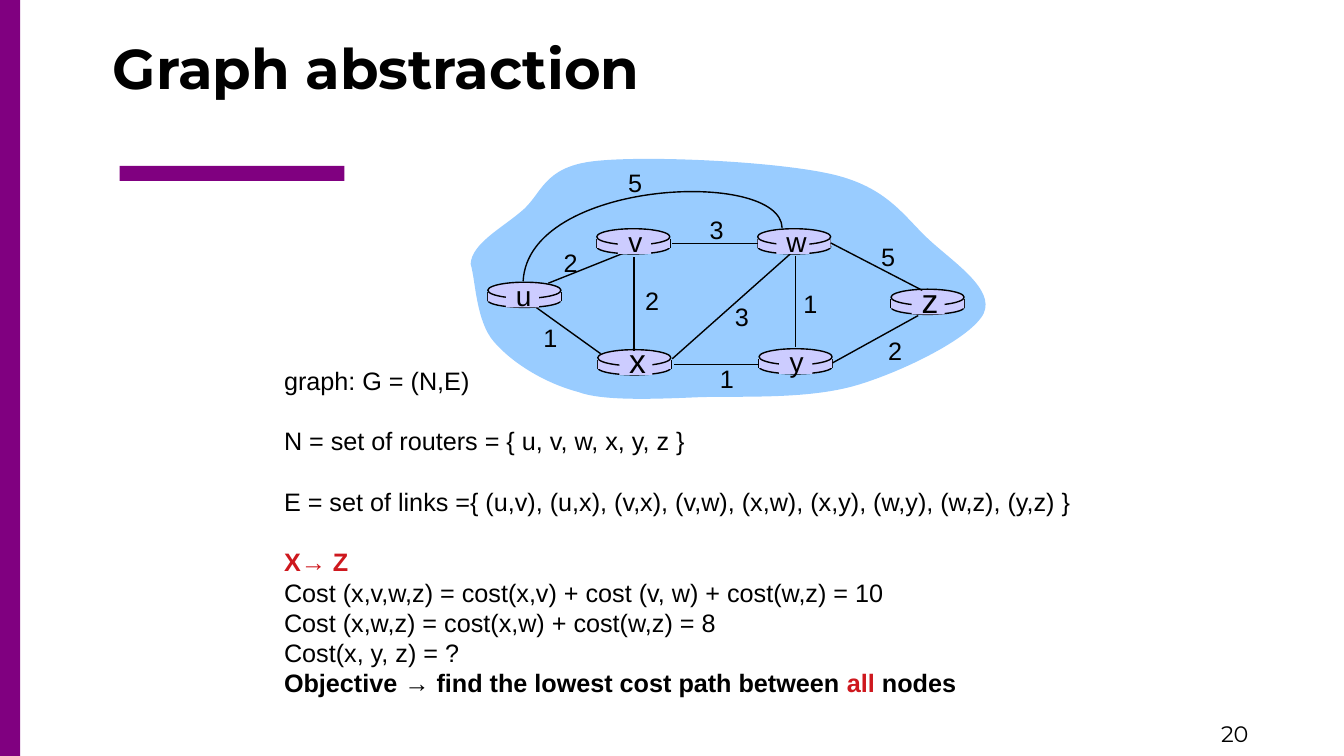
from lxml.etree import SubElement
from pptx import Presentation
from pptx.dml.color import RGBColor
from pptx.enum.shapes import MSO_CONNECTOR as Connector, MSO_SHAPE as Shape
from pptx.enum.text import MSO_ANCHOR as Anchor, MSO_AUTO_SIZE as AutoSize, PP_ALIGN as Align
from pptx.oxml.ns import qn
from pptx.util import Pt

BLACK, PURPLE, RED = "000000", "800080", "CE181E"
CLOUD_BLUE, ROUTER_LILAC = "99CCFF", "CCCCFF"

# name: (left, top, left of letter patch, letter size)
ROUTERS = {
    "u": (348.5, 201.6, 361.4, 20),
    "x": (427, 249.8, 442.4, 24),
    "v": (426.3, 163.4, 441.4, 20),
    "w": (541.2, 163.4, 554.6, 20),
    "y": (542.2, 249.1, 556.6, 20),
    "z": (636.5, 206.6, 651.2, 24),
}
LINK_BEHIND = (391.7, 202.3, 449.3, 179.3)
LINKS = [
    (568.4, 182.9, 568.4, 247.7),
    (452.9, 183.6, 452.9, 250.6),
    (480.2, 256.3, 564.5, 181.4),
    (594.7, 259.2, 655.9, 225.4),
    (542.2, 260.4, 481.7, 260.4),
    (429.1, 252.7, 383, 219.6),
    (541.4, 173.9, 480.2, 173.9),
    (658.8, 207.4, 593.3, 173.5),
]
# cost, left and top of its label
COSTS = [
    ("2", 395.3, 172.8), ("2", 453.6, 200.2), ("1", 380.9, 226.8), ("3", 517.7, 211.7),
    ("1", 506.9, 256.3), ("1", 566.6, 202.3), ("2", 627.1, 235.7), ("5", 622.1, 168.5),
    ("3", 499.7, 149.8), ("5", 441.4, 116.2),
]
# each curve: two control points and the end point
CLOUD_START = (336.2, 188.6)
CLOUD_CURVES = [
    ((337, 174.2), (357.8, 163.4), (372.2, 151.2)),
    ((387.4, 139), (387.4, 119.5), (424.1, 115.2)),
    ((460.8, 110.9), (554.4, 115.2), (594.7, 124.6)),
    ((634.3, 133.9), (645.8, 154.8), (663.8, 171.4)),
    ((681.8, 187.9), (710.6, 206.6), (702.7, 223.9)),
    ((694.1, 241.2), (645.8, 265), (612.7, 275)),
    ((578.9, 285.1), (535, 283), (501.1, 283.7)),
    ((468, 285.1), (430.6, 286.6), (413.3, 280.1)),
    ((388.8, 273.6), (365.8, 259.2), (352.8, 244.1)),
    ((339.8, 229), (339.8, 200.2), (336.2, 188.6)),
]
ARC_START = (558.7, 162.7)
ARC_CURVES = [((557.3, 120.2), (377.3, 128.2), (373.7, 200.9))]

# gap before in points, then runs of (text, colour, bold)
EXPLANATION = [
    (0, [("graph: G = (N,E)", BLACK, False)]),
    (21.6, [("N = set of routers = { u, v, w, x, y, z }", BLACK, False)]),
    (21.6, [("E = set of links ={ (u,v), (u,x), (v,x), (v,w), (x,w), (x,y), (w,y), (w,z), (y,z) }",
             BLACK, False)]),
    (21.6, [("X→ Z", RED, True)]),
    (0, [("Cost (x,v,w,z) = cost(x,v) + cost (v, w) + cost(w,z) = 10", BLACK, False)]),
    (0, [("Cost (x,w,z) = cost(x,w) + cost(w,z) = 8", BLACK, False)]),
    (0, [("Cost(x, y, z) = ?", BLACK, False)]),
    (0, [("Objective → find the lowest cost path between ", BLACK, True),
         ("all ", RED, True), ("nodes", BLACK, True)]),
]


def colour(hex_string):
    return RGBColor.from_string(hex_string)


def bend_segments(shape):
    """Turn every three straight segments of a freeform into one cubic curve."""
    segments = list(shape._element.iter(qn("a:lnTo")))
    for first, second, end in zip(segments[::3], segments[1::3], segments[2::3]):
        first.tag = qn("a:cubicBezTo")
        for segment in (second, end):
            first.append(segment[0])
            segment.getparent().remove(segment)


class SlideBuilder:
    def __init__(self, slide, font="Arial"):
        self.slide = slide
        self.font = font

    def paint(self, shape, fill, line):
        shape.shadow.inherit = False
        if fill:
            shape.fill.solid()
            shape.fill.fore_color.rgb = colour(fill)
        else:
            shape.fill.background()
        if line:
            shape.line.color.rgb = colour(line)
            shape.line.width = Pt(1)
        else:
            shape.line.fill.background()

    def shape(self, kind, left, top, width, height, fill, line=None):
        shape = self.slide.shapes.add_shape(kind, Pt(left), Pt(top), Pt(width), Pt(height))
        self.paint(shape, fill, line)

    def curve(self, start, curves, fill=None, line=None):
        builder = self.slide.shapes.build_freeform(*map(Pt, start))
        points = [(Pt(x), Pt(y)) for curve in curves for x, y in curve]
        builder.add_line_segments(points, close=bool(fill))
        shape = builder.convert_to_shape()
        bend_segments(shape)
        self.paint(shape, fill, line)

    def line(self, *ends):
        connector = self.slide.shapes.add_connector(Connector.STRAIGHT, *map(Pt, ends))
        connector.line.color.rgb = colour(BLACK)
        connector.line.width = Pt(1)
        SubElement(connector._element.spPr, qn("a:effectLst"))

    def title(self, text, left, top, width, height):
        title = self.slide.shapes.title
        title.left, title.top, title.width, title.height = map(Pt, (left, top, width, height))
        frame = title.text_frame
        frame.text = text
        frame.auto_size = AutoSize.NONE
        frame.vertical_anchor = Anchor.MIDDLE
        frame.margin_left = Pt(24.5)
        paragraph = frame.paragraphs[0]
        paragraph.alignment = Align.LEFT
        font = paragraph.font
        font.name, font.size, font.bold = "Montserrat", Pt(40), True
        font.color.rgb = colour(BLACK)

    def text(self, lines, left, top, width, height, size=18, align=Align.LEFT, font=None):
        """Add a text box from lines of (gap before, runs)."""
        box = self.slide.shapes.add_textbox(Pt(left), Pt(top), Pt(width), Pt(height))
        frame = box.text_frame
        frame.word_wrap = False
        for number, (gap, runs) in enumerate(lines):
            paragraph = frame.add_paragraph() if number else frame.paragraphs[0]
            paragraph.alignment = align
            paragraph.line_spacing = Pt(size * 1.2)
            if gap:
                paragraph.space_before = Pt(gap)
            paragraph.font.name = font or self.font
            paragraph.font.size = Pt(size)
            for text, run_colour, bold in runs:
                run = paragraph.add_run()
                run.text = text
                run.font.bold = bold
                run.font.color.rgb = colour(run_colour)

    def label(self, text, left, top, width, height, size=18):
        self.text([(0, [(text, BLACK, False)])], left, top, width, height, size, Align.CENTER)

    def router(self, left, top):
        self.shape(Shape.OVAL, left, top + 7.9, 52.2, 10.1, ROUTER_LILAC, BLACK)
        for side in (left, left + 52.2):
            self.line(side, top + 7.2, side, top + 13.7)
        self.shape(Shape.RECTANGLE, left, top + 7.2, 52.2, 6.5, ROUTER_LILAC)
        self.shape(Shape.OVAL, left, top, 52.2, 11.5, ROUTER_LILAC, BLACK)

    def router_name(self, name, top, patch_left, size):
        self.shape(Shape.RECTANGLE, patch_left, top + 1.4, 23.6, 16.6, ROUTER_LILAC)
        self.label(name, patch_left, top + 13 - 0.975 * size, 25, 1.2 * size + 7.2, size)


def main():
    presentation = Presentation()
    presentation.slide_width, presentation.slide_height = Pt(960), Pt(540)
    slide = presentation.slides.add_slide(presentation.slide_layouts[5])
    builder = SlideBuilder(slide)

    builder.title("Graph abstraction", 56.2, 16.6, 815.8, 62.6)
    builder.shape(Shape.RECTANGLE, 85.4, 118.5, 160.6, 10.8, PURPLE)
    builder.shape(Shape.RECTANGLE, 0, 0, 14.4, 540, PURPLE)
    builder.text([(0, [("20", BLACK, False)])], 865.2, 511.2, 93.6, 28.8, 16, font="Montserrat")

    builder.curve(CLOUD_START, CLOUD_CURVES, fill=CLOUD_BLUE)
    builder.line(*LINK_BEHIND)
    for left, top, _, _ in ROUTERS.values():
        builder.router(left, top)
    for link in LINKS:
        builder.line(*link)
    builder.curve(ARC_START, ARC_CURVES, line=BLACK)
    for name, (_, top, patch_left, size) in ROUTERS.items():
        builder.router_name(name, top, patch_left, size)
    for cost, left, top in COSTS:
        builder.label(cost, left, top, 24.5, 28.8)
    builder.text(EXPLANATION, 195.8, 257.4, 582.5, 245)

    presentation.save("out.pptx")


if __name__ == "__main__":
    main()
